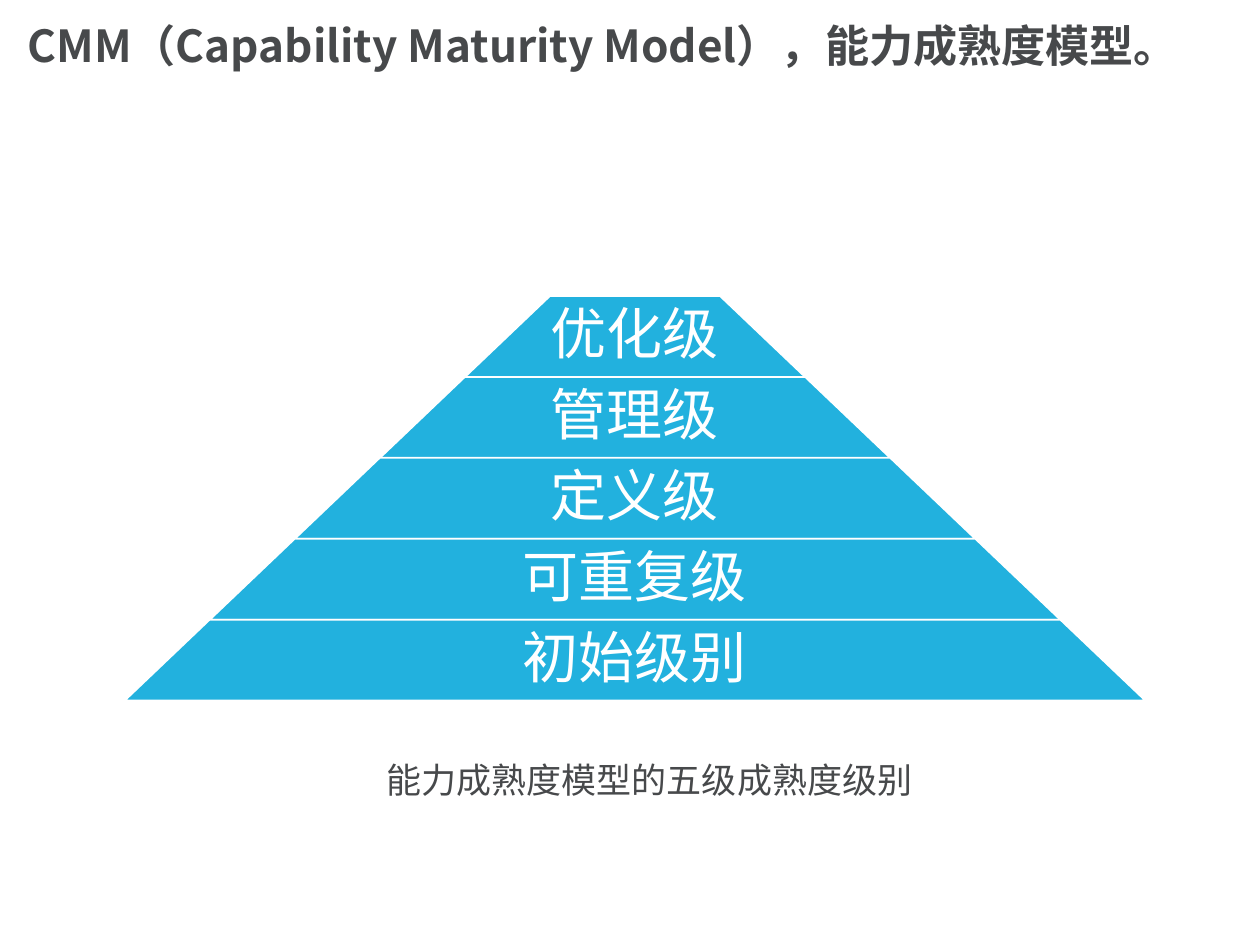
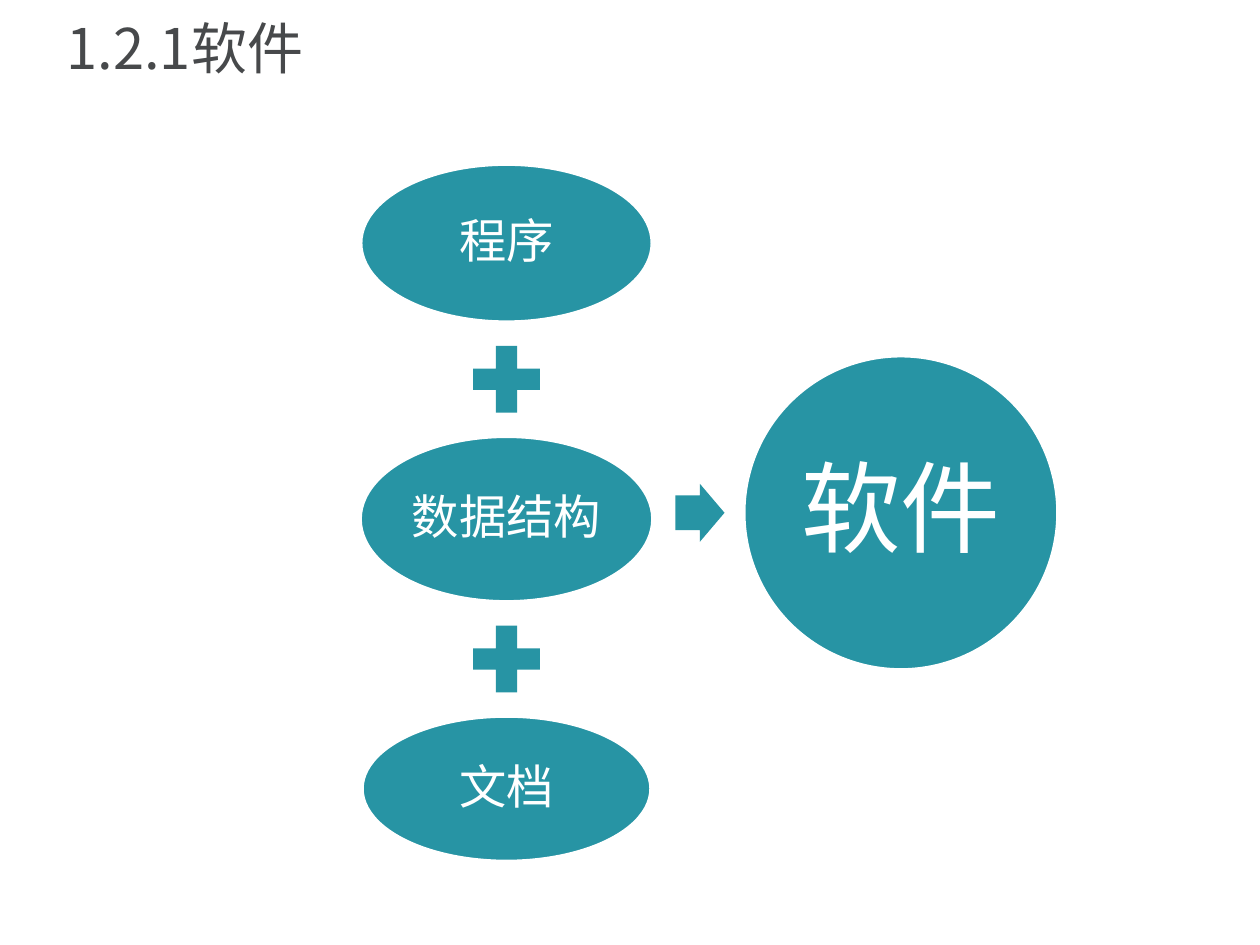
from dataclasses import dataclass
from lxml import etree
from pptx import Presentation
from pptx.dml.color import RGBColor as RGB
from pptx.enum.shapes import MSO_SHAPE as SHAPE
from pptx.enum.text import MSO_ANCHOR as ANCHOR, PP_ALIGN as ALIGN
from pptx.oxml.ns import qn
from pptx.util import Inches, Pt


@dataclass(frozen=True)
class Theme:
    ink: RGB = RGB.from_string("47494B")
    white: RGB = RGB.from_string("FFFFFF")
    sky: RGB = RGB.from_string("22B1DE")
    teal: RGB = RGB.from_string("2794A4")
    font: str = "Noto Sans CJK SC"
    caption_font: str = "DejaVu Sans"
    long_title_size: float = 25.2
    title_size: float = 32
    level_size: float = 32
    ingredient_size: float = 27
    result_size: float = 57
    caption_size: float = 20


theme = Theme()


def write(holder, words, size, color=theme.white, align=ALIGN.CENTER, font=theme.font,
          bold=False, inset=0.04, spacing=0.9):
    """Set one styled paragraph, centred vertically, in a shape or text box."""
    frame = holder.text_frame
    frame.word_wrap = True
    frame.vertical_anchor = ANCHOR.MIDDLE
    frame.margin_left = frame.margin_right = Inches(inset)
    frame.margin_top = frame.margin_bottom = Inches(min(inset, 0.05))
    paragraph = frame.paragraphs[0]
    paragraph.text = words
    paragraph.alignment = align
    paragraph.line_spacing = spacing
    paragraph.font.size = Pt(size)
    paragraph.font.bold = bold
    paragraph.font.color.rgb = color
    paragraph.font.name = font
    defaults = paragraph._p.pPr.find(qn("a:defRPr"))
    etree.SubElement(defaults, qn("a:ea"), typeface=font)


def draw(slide, kind, left, top, width, height, color, outlined=True):
    """Add a flat shape, with a thin white outline if wanted."""
    shape = slide.shapes.add_shape(kind, Inches(left), Inches(top), Inches(width), Inches(height))
    shape.shadow.inherit = False
    shape.fill.solid()
    shape.fill.fore_color.rgb = color
    if outlined:
        shape.line.color.rgb = theme.white
        shape.line.width = Pt(1)
    else:
        shape.line.fill.background()
    return shape


deck = Presentation()
deck.slide_width, deck.slide_height = Inches(10), Inches(7.5)
blank = deck.slide_layouts[6]

# Slides and their titles
titles = [
    ("CMM（Capability Maturity Model），能力成熟度模型。", theme.long_title_size, True,
     (0.12, 0, 9.88, 0.76)),
    ("1.2.1软件", theme.title_size, False, (0.43, 0.06, 9.05, 0.7)),
]
slides = []
for words, size, bold, place in titles:
    slide = deck.slides.add_slide(blank)
    heading = slide.shapes.add_textbox(*map(Inches, place))
    write(heading, words, size, theme.ink, ALIGN.LEFT, bold=bold, inset=0.1)
    slides.append(slide)
maturity, software = slides

# Maturity pyramid: each level is wider than the one above by the same step
levels = ["优化级", "管理级", "定义级", "可重复级", "初始级别"]
pyramid_center, pyramid_top, pyramid_height = 5.04, 2.35, 3.21
top_width, width_step = 2.7, 1.35
level_height = pyramid_height / len(levels)
for row, level in enumerate(levels):
    width = top_width + row * width_step
    top = pyramid_top + row * level_height
    band = draw(maturity, SHAPE.TRAPEZOID, pyramid_center - width / 2, top,
                width, level_height, theme.sky)
    band.adjustments[0] = 1.05
    label_width = width * 0.65
    label = maturity.shapes.add_textbox(Inches(pyramid_center - label_width / 2), Inches(top),
                                        Inches(label_width), Inches(level_height))
    write(label, level, theme.level_size)

# Pyramid caption
caption = maturity.shapes.add_textbox(Inches(1.77), Inches(5.97), Inches(6.77), Inches(0.44))
write(caption, "能力成熟度模型的五级成熟度级别", theme.caption_size, theme.ink,
      font=theme.caption_font, inset=0.1, spacing=1.0)

# Software ingredients, stacked with plus signs between them
ingredients = [("程序", 2.3, 1.24), ("数据结构", 2.31, 1.3), ("文档", 2.28, 1.14)]
column_center, top = 4.02, 1.31
plus_size, gap = 0.72, 0.1
for row, (ingredient, width, height) in enumerate(ingredients):
    if row:
        draw(software, SHAPE.MATH_PLUS, column_center - plus_size / 2, top,
             plus_size, plus_size, theme.teal, outlined=False)
        top += plus_size + gap
    oval = draw(software, SHAPE.OVAL, column_center - width / 2, top, width, height, theme.teal)
    write(oval, ingredient, theme.ingredient_size)
    top += height + gap

# Arrow to the sum of the ingredients
arrow = draw(software, SHAPE.RIGHT_ARROW, 5.36, 3.84, 0.39, 0.46, theme.teal, outlined=False)
arrow.adjustments[0] = 0.6
arrow.adjustments[1] = 0.5
result = draw(software, SHAPE.OVAL, 5.91, 2.83, 2.48, 2.48, theme.teal)
write(result, "软件", theme.result_size, inset=0.08)

deck.save("out.pptx")
